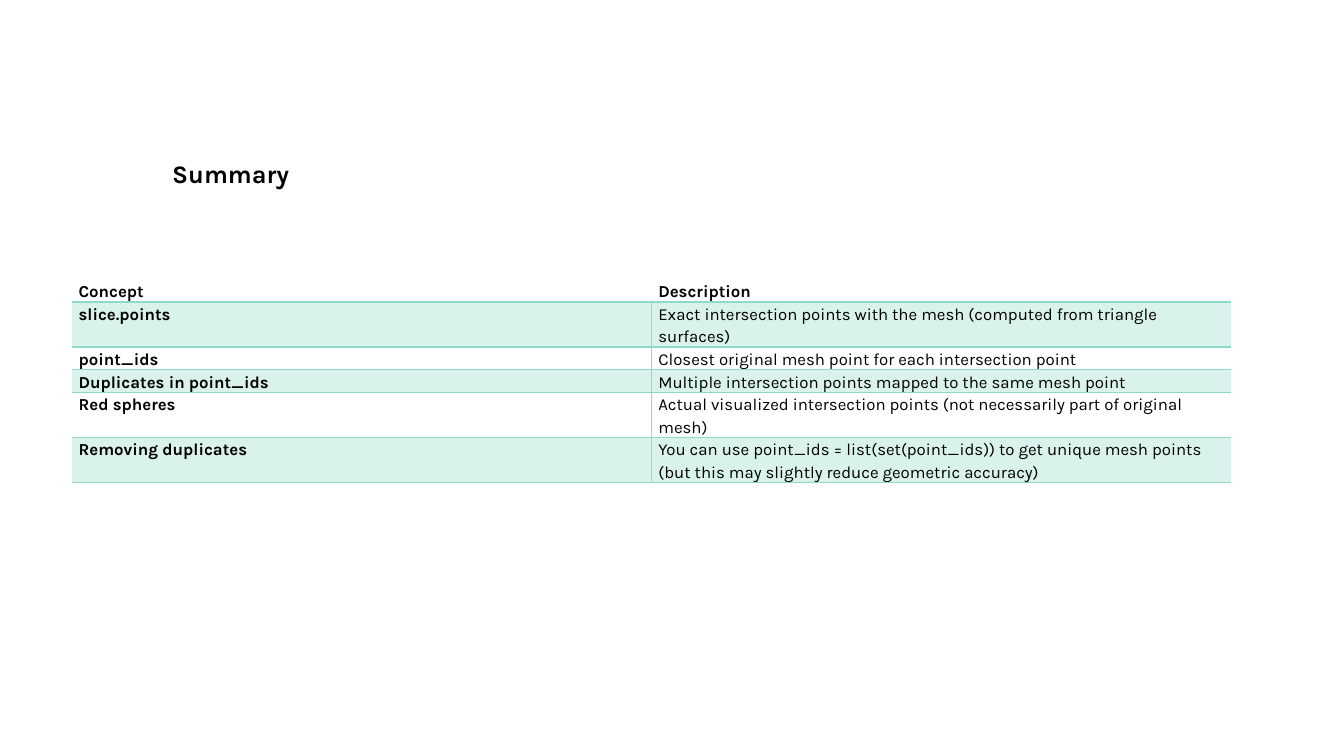
import pptx
import pptx.dml.color
import pptx.util
from lxml import etree
from pptx.oxml.ns import qn
from pptx.util import Inches

TITLE = "Summary"
ROWS = [
    ("Concept", "Description"),
    ("slice.points", "Exact intersection points with the mesh (computed from triangle surfaces)"),
    ("point_ids", "Closest original mesh point for each intersection point"),
    ("Duplicates in point_ids", "Multiple intersection points mapped to the same mesh point"),
    ("Red spheres", "Actual visualized intersection points (not necessarily part of original mesh)"),
    ("Removing duplicates", "You can use point_ids = list(set(point_ids)) to get unique mesh points "
                            "(but this may slightly reduce geometric accuracy)"),
]
LINES_PER_ROW = [1, 2, 1, 1, 2, 2]
LINE_HEIGHT = 0.22
COLUMN_WIDTH = 5.75
FONT = "Karla"
BLACK, WHITE, MINT, GREEN = "000000", "FFFFFF", "D9F2EC", "8ED9C7"


def color(value):
    return pptx.dml.color.RGBColor.from_string(value)


def write(frame, text, size=12, bold=False, spacing=None, after=None):
    frame.word_wrap = True
    para = frame.paragraphs[0]
    if spacing:
        para.line_spacing = spacing
    if after is not None:
        para.space_after = pptx.util.Pt(after)
    span = para.add_run()
    span.text = text
    span.font.name = FONT
    span.font.size = pptx.util.Pt(size)
    span.font.bold = bold
    span.font.color.rgb = color(BLACK)


def set_borders(cell, widths):
    """Draw the sides named in widths (points) and clear the others."""
    properties = cell._tc.get_or_add_tcPr()
    for position, side in enumerate("LRTB"):
        line = etree.Element(qn(f"a:ln{side}"))
        properties.insert(position, line)
        if side in widths:
            line.set("w", str(pptx.util.Pt(widths[side])))
            fill = etree.SubElement(line, qn("a:solidFill"))
            etree.SubElement(fill, qn("a:srgbClr"), val=GREEN)
        else:
            line.set("w", "0")
            etree.SubElement(line, qn("a:noFill"))


def border_widths(row, column):
    if row == 0:
        return {"B": 1.5}
    inner_side = "R" if column == 0 else "L"
    return {inner_side: 1, "T": 1.5 if row == 1 else 1, "B": 1}


def add_summary_table(slide):
    table = slide.shapes.add_table(
        len(ROWS), 2, Inches(0.71), Inches(2.77), Inches(2 * COLUMN_WIDTH),
        Inches(LINE_HEIGHT * sum(LINES_PER_ROW))).table
    table.first_row = False
    table.horz_banding = False
    for column in table.columns:
        column.width = Inches(COLUMN_WIDTH)
    for r, texts in enumerate(ROWS):
        table.rows[r].height = Inches(LINE_HEIGHT * LINES_PER_ROW[r])
        for c, text in enumerate(texts):
            cell = table.cell(r, c)
            cell.margin_left = cell.margin_right = Inches(0.07)
            cell.margin_top = cell.margin_bottom = 0
            cell.fill.solid()
            cell.fill.fore_color.rgb = color(MINT if r % 2 else WHITE)
            write(cell.text_frame, text, bold=r == 0 or c == 0, spacing=1.15, after=8)
            set_borders(cell, border_widths(r, c))


def main():
    deck = pptx.Presentation()
    deck.slide_width, deck.slide_height = Inches(13.33), Inches(7.5)
    slide = deck.slides.add_slide(deck.slide_layouts[6])
    add_summary_table(slide)
    box = slide.shapes.add_textbox(Inches(1.61), Inches(1.52), Inches(6.67), Inches(0.4))
    write(box.text_frame, TITLE, size=18, bold=True)
    deck.save("out.pptx")


if __name__ == "__main__":
    main()
